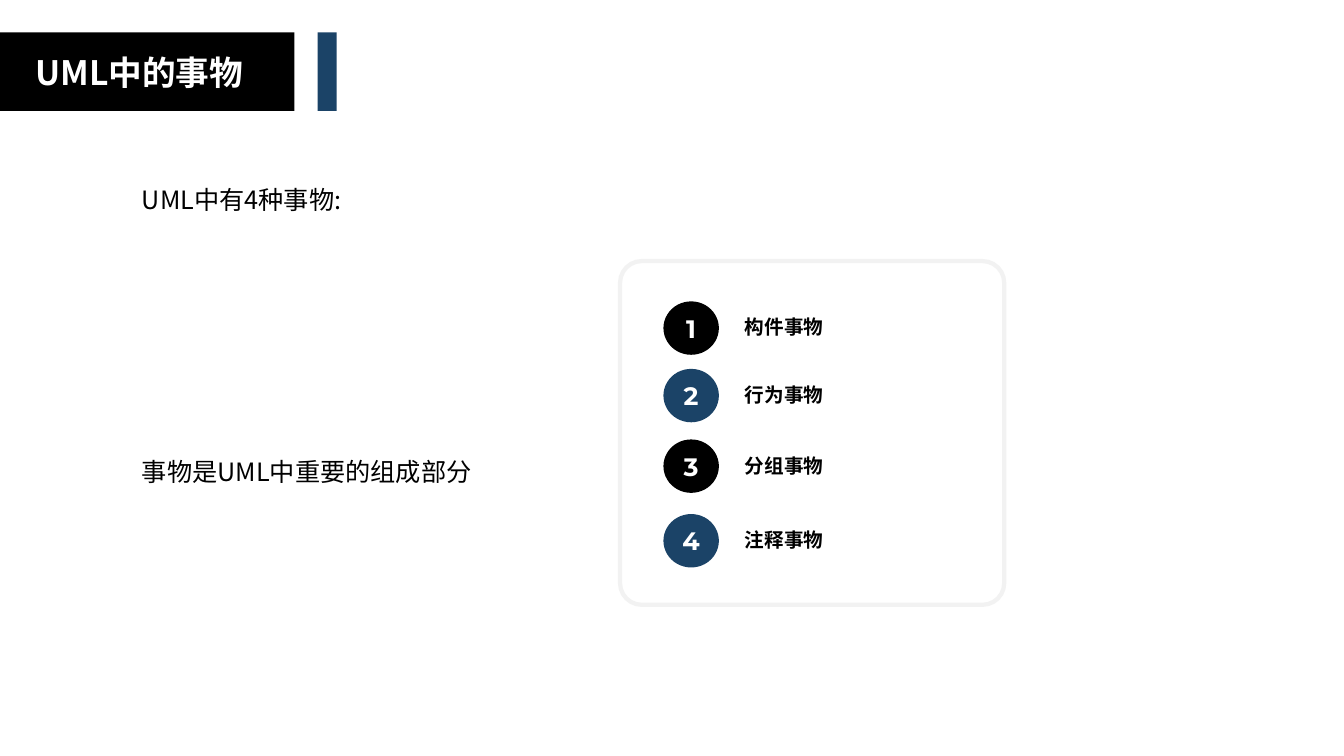
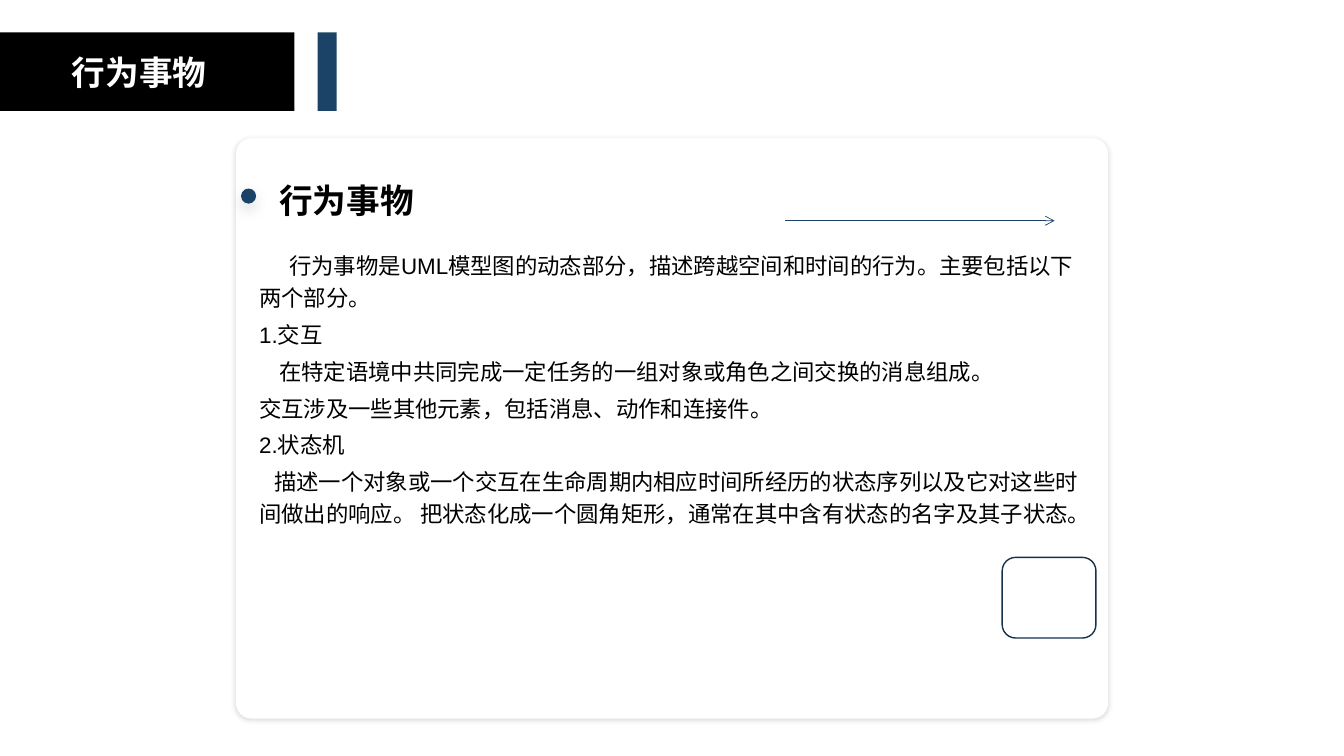
import pptx
import pptx.util
import pptx.dml.color
import pptx.enum.shapes
import pptx.enum.text
import pptx.oxml
import pptx.oxml.ns

Inches = pptx.util.Inches
Pt = pptx.util.Pt
RGBColor = pptx.dml.color.RGBColor
SHAPE = pptx.enum.shapes.MSO_SHAPE
ALIGN = pptx.enum.text.PP_ALIGN
ANCHOR = pptx.enum.text.MSO_ANCHOR

BLACK = RGBColor(0x00, 0x00, 0x00)
WHITE = RGBColor(0xFF, 0xFF, 0xFF)
BLUE = RGBColor(0x1B, 0x43, 0x67)
DARK_BLUE = RGBColor(0x14, 0x32, 0x4C)
PALE_GRAY = RGBColor(0xF2, 0xF2, 0xF2)

CJK = "Noto Sans CJK SC"
TITLE = {"size": Pt(24), "name": CJK, "bold": True, "color": WHITE}
LEAD = {"size": Pt(18), "name": "Noto Sans CJK JP", "color": BLACK}
NUMBER = {"size": Pt(18), "name": "Montserrat", "bold": True, "color": WHITE}
LABEL = {"size": Pt(14), "name": "Montserrat", "bold": True, "color": BLACK}
HEADING = {"size": Pt(24), "name": "Arial", "bold": True, "color": BLACK}
BODY = {"size": Pt(16), "name": "Arial", "color": BLACK}
NO_INSETS = dict.fromkeys(
    ("margin_left", "margin_top", "margin_right", "margin_bottom"), 0)


def set_attributes(target, values):
    for name, value in values.items():
        setattr(target, name, value)


def add_effects(element, content=""):
    namespace = pptx.oxml.ns.nsdecls("a")
    element.spPr.append(pptx.oxml.parse_xml(
        f"<a:effectLst {namespace}>{content}</a:effectLst>"))


def add_shadow(shape, opacity, blur, distance):
    """Cast a black shadow downwards; opacity in percent, lengths in points."""
    shape.element.spPr.remove(shape.element.spPr.find(pptx.oxml.ns.qn("a:effectLst")))
    add_effects(shape.element, (
        f'<a:outerShdw blurRad="{Pt(blur)}" dist="{Pt(distance)}" dir="5400000" '
        f'algn="t" rotWithShape="0"><a:srgbClr val="{BLACK}">'
        f'<a:alpha val="{opacity * 1000}"/></a:srgbClr></a:outerShdw>'))


def add_shape(slide, kind, box, fill=None, line=None, line_width=1, radius=None):
    shape = slide.shapes.add_shape(kind, *map(Inches, box))
    shape.shadow.inherit = False
    if fill is None:
        shape.fill.background()
    else:
        shape.fill.solid()
        shape.fill.fore_color.rgb = fill
    if line is None:
        shape.line.fill.background()
    else:
        shape.line.color.rgb = line
        shape.line.width = Pt(line_width)
    if radius is not None:
        shape.adjustments[0] = radius
    return shape


def write(paragraph, text, style):
    run = paragraph.add_run()
    run.text = text
    values = dict(style)
    run.font.color.rgb = values.pop("color")
    set_attributes(run.font, values)
    east_asian = style["name"] if style["name"].startswith("Noto") else CJK
    namespace = pptx.oxml.ns.nsdecls("a")
    run.font._element.append(pptx.oxml.parse_xml(
        f'<a:ea {namespace} typeface="{east_asian}"/>'))


def add_text(slide, box, paragraphs, style, frame_values=None, paragraph_values=None):
    """Add a text box; paragraphs holds (first line indent, text) pairs."""
    frame = slide.shapes.add_textbox(*map(Inches, box)).text_frame
    frame.word_wrap = True
    set_attributes(frame, frame_values or {})
    for index, (indent, text) in enumerate(paragraphs):
        paragraph = frame.add_paragraph() if index else frame.paragraphs[0]
        set_attributes(paragraph, paragraph_values or {})
        if indent:
            paragraph._p.get_or_add_pPr().set("indent", str(Inches(indent)))
        write(paragraph, text, style)


def write_in_shape(shape, text, style, right_inset=0):
    frame = shape.text_frame
    set_attributes(frame, {**NO_INSETS, "margin_right": Inches(right_inset),
                           "vertical_anchor": ANCHOR.MIDDLE, "word_wrap": True})
    frame.paragraphs[0].alignment = ALIGN.CENTER
    write(frame.paragraphs[0], text, style)


def add_titled_slide(presentation, title):
    slide = presentation.slides.add_slide(presentation.slide_layouts[6])
    band = add_shape(slide, SHAPE.RECTANGLE, (0, 0.32, 2.92, 0.78), BLACK)
    add_shape(slide, SHAPE.RECTANGLE, (3.15, 0.32, 0.19, 0.78), BLUE)
    write_in_shape(band, title, TITLE, right_inset=0.16)
    return slide


def add_numbered_panel(slide, left, top, width, height, items):
    """Add an outlined panel; items holds (offset from the panel's top, label)."""
    add_shape(slide, SHAPE.ROUNDED_RECTANGLE, (left, top, width, height),
              line=PALE_GRAY, line_width=3, radius=0.063)
    for number, (offset, label) in enumerate(items, 1):
        disc = add_shape(slide, SHAPE.OVAL, (left + 0.43, top + offset, 0.55, 0.53),
                         BLACK if number % 2 else BLUE)
        write_in_shape(disc, str(number), NUMBER)
        add_text(slide, (left + 1.14, top + offset + 0.09, 2.6, 0.34),
                 [(0, label)], LABEL)


def add_article_card(slide, left, top, width, height, heading, paragraphs):
    card = add_shape(slide, SHAPE.ROUNDED_RECTANGLE, (left, top, width, height),
                     WHITE, radius=0.027)
    add_shadow(card, 15, 3, 1)
    bullet = add_shape(slide, SHAPE.OVAL, (left + 0.05, top + 0.5, 0.15, 0.15), BLUE)
    add_shadow(bullet, 12, 10, 5)
    for box, content, style in (
            ((left + 0.43, top + 0.33, 4.14, 0.48), [(0, heading)], HEADING),
            ((left + 0.23, top + 1.08, 8.2, 2.85), paragraphs, BODY)):
        add_text(slide, box, content, style, NO_INSETS,
                 {"line_spacing": 1.2, "space_before": Pt(style["size"].pt * 0.2)})


def add_notation_samples(slide, left, top):
    """Add the message arrow and the state symbol."""
    arrow = slide.shapes.add_connector(
        pptx.enum.shapes.MSO_CONNECTOR.STRAIGHT,
        Inches(left), Inches(top), Inches(left + 2.67), Inches(top))
    arrow.line.color.rgb = BLUE
    arrow.line.width = Pt(0.5)
    namespace = pptx.oxml.ns.nsdecls("a")
    arrow.line._get_or_add_ln().append(pptx.oxml.parse_xml(
        f'<a:tailEnd {namespace} type="arrow"/>'))
    add_effects(arrow._element)
    add_shape(slide, SHAPE.ROUNDED_RECTANGLE, (left + 2.15, top + 3.34, 0.93, 0.8),
              line=DARK_BLUE)


def build_things_slide(presentation):
    slide = add_titled_slide(presentation, "UML中的事物")
    for top, text in ((1.78, "UML中有4种事物:"), (4.48, "事物是UML中重要的组成部分")):
        add_text(slide, (1.31, top, 4.37, 0.4), [(0, text)], LEAD)
    add_numbered_panel(slide, 6.15, 2.59, 3.81, 3.41, [
        (0.4, "构件事物"), (1.07, "行为事物"), (1.77, "分组事物"), (2.51, "注释事物")])


def build_behavior_slide(presentation):
    slide = add_titled_slide(presentation, "行为事物")
    add_article_card(slide, 2.34, 1.37, 8.65, 5.76, "行为事物", [
        (0.3, "行为事物是UML模型图的动态部分，描述跨越空间和时间的行为。主要包括以下两个部分。"),
        (0, "1.交互"),
        (0.2, "在特定语境中共同完成一定任务的一组对象或角色之间交换的消息组成。"),
        (0, "交互涉及一些其他元素，包括消息、动作和连接件。"),
        (0, "2.状态机"),
        (0.15, "描述一个对象或一个交互在生命周期内相应时间所经历的状态序列以及它对这些时间做出的响应。"
               " 把状态化成一个圆角矩形，通常在其中含有状态的名字及其子状态。")])
    add_notation_samples(slide, 7.79, 2.19)


def main():
    presentation = pptx.Presentation()
    presentation.slide_width = Inches(13.33)
    presentation.slide_height = Inches(7.5)
    build_things_slide(presentation)
    build_behavior_slide(presentation)
    presentation.save("out.pptx")


if __name__ == "__main__":
    main()
